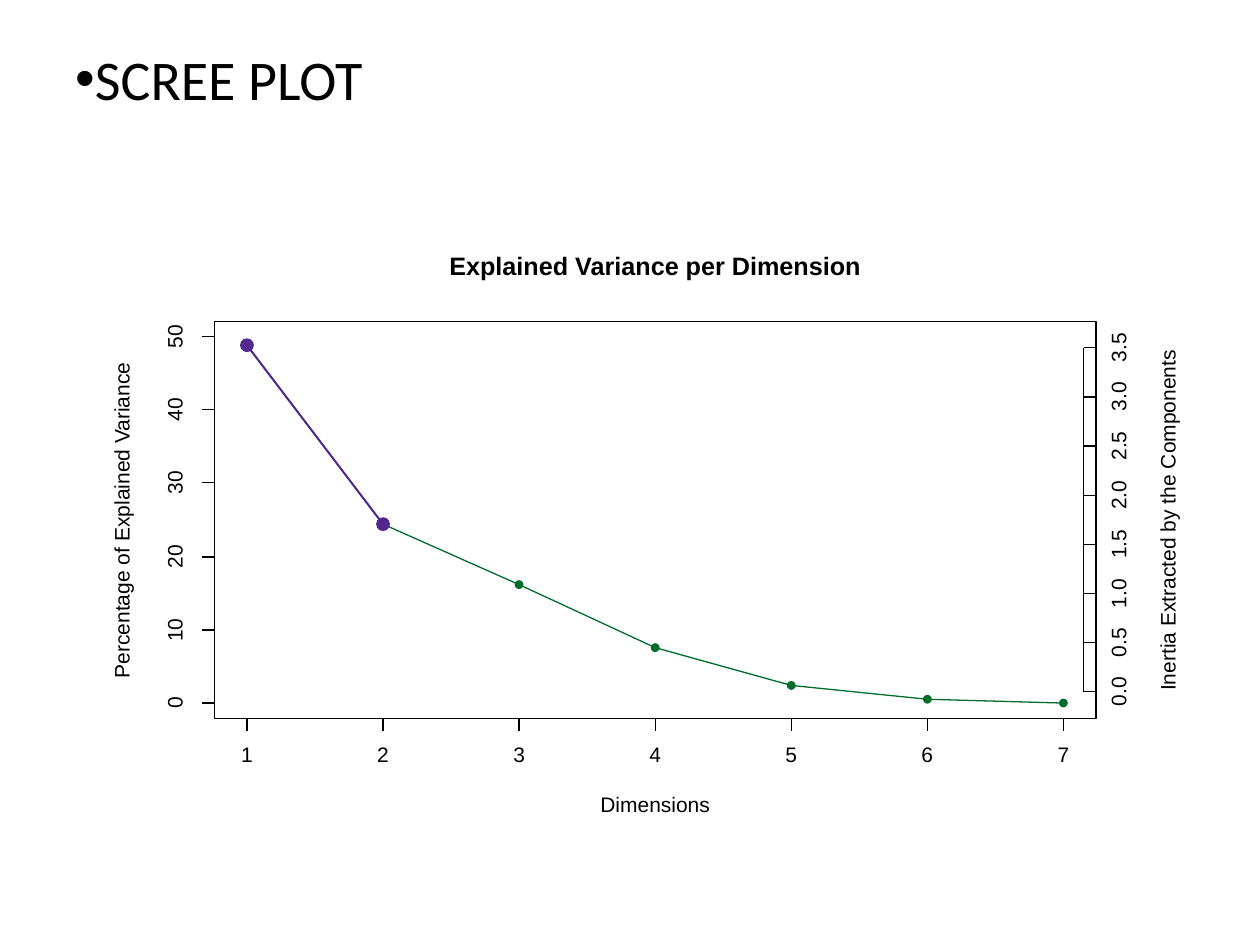
import lxml.etree
import pptx
import pptx.dml.color
import pptx.enum.shapes
import pptx.enum.text
import pptx.oxml.ns
import pptx.util

PX = 9144  # 100 px to the inch
BLACK = pptx.dml.color.RGBColor(0x00, 0x00, 0x00)
WHITE = pptx.dml.color.RGBColor(0xFF, 0xFF, 0xFF)
GREEN = pptx.dml.color.RGBColor(0x00, 0x6D, 0x2C)
PURPLE = pptx.dml.color.RGBColor(0x54, 0x27, 0x8F)

VARIANCE = [48.7, 24.4, 16.2, 7.6, 2.5, 0.6, 0.1]
KEPT = 2  # leading dimensions highlighted in purple
PLOT_LEFT, PLOT_TOP, PLOT_WIDTH, PLOT_HEIGHT = 170, 255, 700, 315
PLOT_RIGHT = PLOT_LEFT + PLOT_WIDTH
PLOT_BOTTOM = PLOT_TOP + PLOT_HEIGHT
PLOT_MIDDLE_X = PLOT_LEFT + PLOT_WIDTH // 2
PLOT_MIDDLE_Y = PLOT_TOP + PLOT_HEIGHT // 2 + 1
TICK = 10


def dimension_x(dimension):
    return 196 + 108 * (dimension - 1)


def percent_y(percent):
    return round(558.3 - 5.83 * percent)


def inertia_y(inertia):
    return round(549 - 78 * inertia)


def write(frame, text, size=12, font="Arial", color=BLACK, bold=False,
          align=pptx.enum.text.PP_ALIGN.LEFT, spacing=None):
    paragraph = frame.paragraphs[0]
    paragraph.alignment = align
    if spacing:
        paragraph.line_spacing = pptx.util.Pt(spacing)
    run = paragraph.add_run()
    run.text = text
    run.font.size = pptx.util.Pt(size)
    run.font.name = font
    run.font.bold = bold
    run.font.color.rgb = color
    return paragraph


class Canvas:
    """Style and current slide; plot parts go into one group."""

    line_width = 0.75

    def __init__(self, slide):
        self.slide = slide
        self.plot = slide.shapes.add_group_shape().shapes

    def heading(self, text):
        box = self.slide.shapes.add_textbox(50 * PX, 30 * PX, 900 * PX, 125 * PX)
        box.text_frame.word_wrap = True
        paragraph = write(box.text_frame, text, size=32, font="Calibri")
        paragraph.space_before = pptx.util.Pt(6.4)
        properties = paragraph._p.get_or_add_pPr()
        properties.set("marL", "0")
        properties.set("indent", "0")
        for tag, key, value in (("a:buFont", "typeface", "Arial"),
                                ("a:buChar", "char", "•")):
            lxml.etree.SubElement(properties, pptx.oxml.ns.qn(tag)).set(key, value)

    def outline(self, shape, color, width=None):
        shape.line.color.rgb = color
        shape.line.width = pptx.util.Pt(width or self.line_width)

    def rectangle(self, left, top, width, height, line, fill=None):
        shape = self.plot.add_shape(pptx.enum.shapes.MSO_SHAPE.RECTANGLE,
                                    left * PX, top * PX, width * PX, height * PX)
        shape.shadow.inherit = False
        if fill is None:
            shape.fill.background()
        else:
            shape.fill.solid()
            shape.fill.fore_color.rgb = fill
        self.outline(shape, line)

    def line(self, start, end, color=BLACK, width=None):
        connector = self.plot.add_connector(
            pptx.enum.shapes.MSO_CONNECTOR.STRAIGHT,
            start[0] * PX, start[1] * PX, end[0] * PX, end[1] * PX)
        self.outline(connector, color, width)
        lxml.etree.SubElement(connector._element.spPr,
                              pptx.oxml.ns.qn("a:effectLst"))

    def curve(self, points, color):
        builder = self.plot.build_freeform(*points[0], scale=PX)
        builder.add_line_segments(points[1:], close=False)
        shape = builder.convert_to_shape()
        shape.shadow.inherit = False
        shape.fill.background()
        self.outline(shape, color)

    def marker(self, center, diameter, color):
        x, y = (round((value - diameter / 2) * PX) for value in center)
        dot = self.plot.add_shape(pptx.enum.shapes.MSO_SHAPE.OVAL, x, y,
                                  diameter * PX, diameter * PX)
        dot.shadow.inherit = False
        dot.fill.solid()
        dot.fill.fore_color.rgb = color
        dot.line.fill.background()

    def label(self, text, x, y, width, height=12, upright=False, size=12, bold=False):
        """Text centred on (x, y); upright text reads from bottom to top."""
        box = self.plot.add_textbox(round((x - width / 2) * PX),
                                    round((y - height / 2) * PX),
                                    width * PX, height * PX)
        box.rotation = 270 if upright else 0
        frame = box.text_frame
        frame.word_wrap = False
        frame.margin_left = frame.margin_right = 0
        frame.margin_top = frame.margin_bottom = 0
        frame.vertical_anchor = pptx.enum.text.MSO_ANCHOR.MIDDLE
        write(frame, text, size=size, bold=bold, spacing=size,
              align=pptx.enum.text.PP_ALIGN.CENTER)


def draw_axes(canvas):
    dimensions = range(1, len(VARIANCE) + 1)
    canvas.line((dimension_x(1), PLOT_BOTTOM),
                (dimension_x(len(VARIANCE)), PLOT_BOTTOM))
    for dimension in dimensions:
        x = dimension_x(dimension)
        canvas.line((x, PLOT_BOTTOM), (x, PLOT_BOTTOM + TICK))
        canvas.label(str(dimension), x, 600, 10)

    canvas.line((PLOT_LEFT, percent_y(0)), (PLOT_LEFT, percent_y(50)))
    for percent in range(0, 51, 10):
        y = percent_y(percent)
        canvas.line((PLOT_LEFT, y), (PLOT_LEFT - TICK, y))
        canvas.label(str(percent), 140, y, 20 if percent else 10, upright=True)

    inertia_x = PLOT_RIGHT - TICK
    canvas.line((inertia_x, inertia_y(0)), (inertia_x, inertia_y(3.5)))
    for step in range(8):
        y = inertia_y(step / 2)
        canvas.line((inertia_x, y), (PLOT_RIGHT, y))
        canvas.label(f"{step / 2:.1f}", 889, y, 25, upright=True)


def draw_scree_plot(canvas):
    canvas.rectangle(50, 175, 900, 495, line=WHITE, fill=WHITE)
    points = [(dimension_x(dimension), percent_y(percent))
              for dimension, percent in enumerate(VARIANCE, start=1)]
    canvas.curve(points, GREEN)
    draw_axes(canvas)
    canvas.rectangle(PLOT_LEFT, PLOT_TOP, PLOT_WIDTH, PLOT_HEIGHT, line=BLACK)
    canvas.label("Explained Variance per Dimension", PLOT_MIDDLE_X, 213, 328,
                 height=18, size=14.4, bold=True)
    canvas.label("Dimensions", PLOT_MIDDLE_X, 640, 89)
    canvas.label("Percentage of Explained Variance", 98, PLOT_MIDDLE_Y, 254,
                 height=16, upright=True)
    for point in points:
        canvas.marker(point, 7, GREEN)
    canvas.line(*points[:KEPT], color=PURPLE, width=1.12)
    for point in points[:KEPT]:
        canvas.marker(point, 11, PURPLE)
    canvas.label("Inertia Extracted by the Components", 928, PLOT_MIDDLE_Y, 273,
                 height=16, upright=True)


def main():
    deck = pptx.Presentation()
    deck.slide_width, deck.slide_height = 1000 * PX, 750 * PX
    canvas = Canvas(deck.slides.add_slide(deck.slide_layouts[6]))
    canvas.heading("SCREE PLOT")
    draw_scree_plot(canvas)
    deck.save("out.pptx")


if __name__ == "__main__":
    main()
